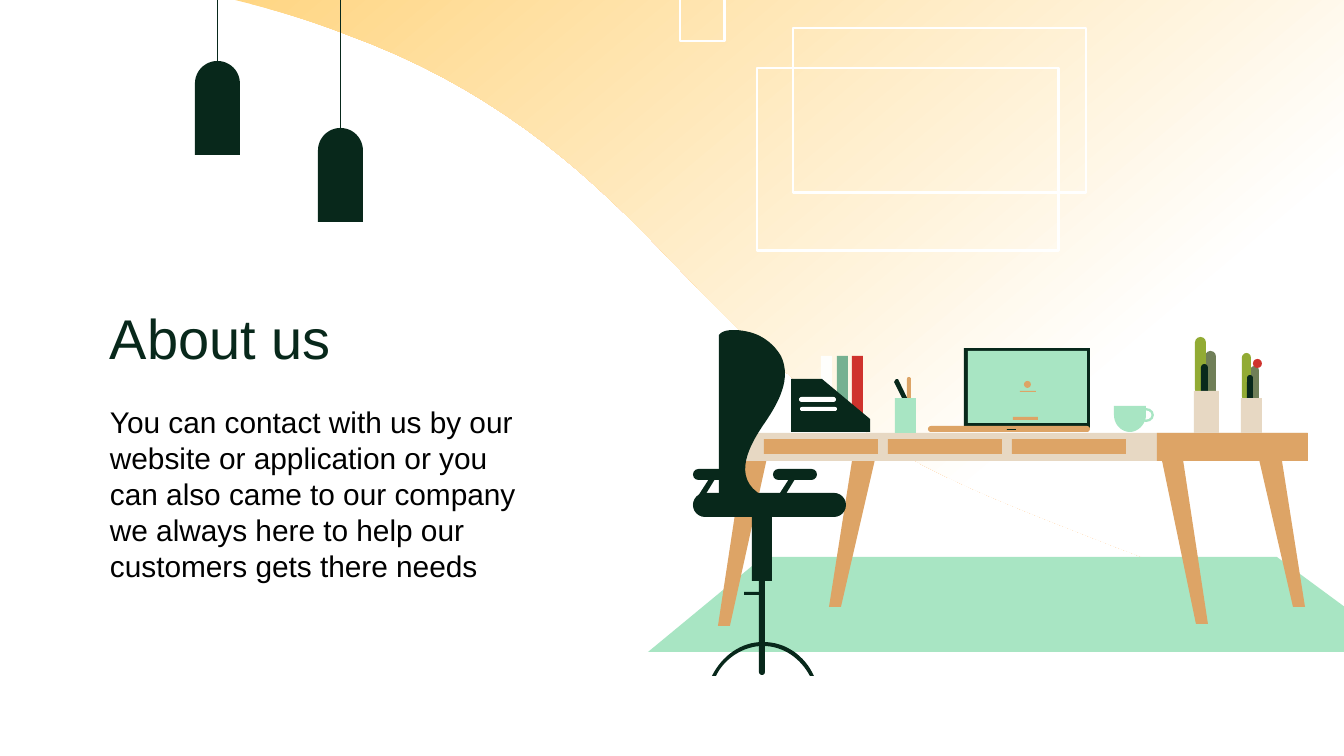
from pptx import Presentation
from pptx.dml.color import RGBColor
from pptx.enum.shapes import MSO_CONNECTOR, MSO_SHAPE as Kind
from pptx.enum.text import MSO_ANCHOR as Anchor
from pptx.util import Pt
from lxml import etree

PX = 914400 / 134.4
DARK, MINT, WOOD, SAND = "08281B", "A8E5C3", "DDA466", "E7D8C3"
OLIVE, LIME, RED, WHITE = "707F58", "92AB34", "CF332D", "FFFFFF"
RECT, OVAL, PILL = Kind.RECTANGLE, Kind.OVAL, Kind.ROUNDED_RECTANGLE


def paint(fill, colour):
    fill.solid()
    fill.fore_color.rgb = RGBColor.from_string(colour)


def write(text, left, top, width, height, size, colour, inset_top=13, after=0):
    box = page.shapes.add_textbox(*[round(v * PX) for v in (left, top, width, height)])
    frame = box.text_frame
    frame.word_wrap = True
    frame.vertical_anchor = Anchor.TOP
    frame.margin_left = frame.margin_right = frame.margin_bottom = round(13 * PX)
    frame.margin_top = round(inset_top * PX)
    para = frame.paragraphs[0]
    para.space_after = Pt(after)
    span = para.add_run()
    span.text = text
    span.font.name, span.font.size = "Arial", Pt(size)
    paint(span.font.fill, colour)


deck = Presentation()
deck.slide_width, deck.slide_height = round(1344 * PX), round(756 * PX)
page = deck.slides.add_slide(deck.slide_layouts[6])
paint(page.background.fill, WHITE)

# Scene, back to front: (preset, (left, top, width, height), colour).
# An outline has None as preset and lists points; six numbers make a curve.
scene = [(None, [(235, 0), (1344, 0), (1344, 615), (1331, 613),
                 (1249, 597, 1175, 570, 1103, 542), (1040, 517, 976, 493, 921, 464),
                 (798, 399, 728, 319, 653, 242), (578, 165, 489, 86, 345, 34),
                 (309, 20, 272, 9, 235, 0)], "glow")]

# Wall frames
scene += [(RECT, place, "frame") for place in
          ((793, 28, 293, 165), (757, 68, 302, 183), (680, -141, 45, 182))]

# Rug and desk legs
scene.append((None, [(763, 557), (648, 652), (1406, 652), (1277, 557)], MINT))
for top, foot, top_left, top_right, foot_left, foot_right in (
        (442, 607, 1255, 1279, 1293, 1305), (446, 624, 1159, 1181, 1196, 1208),
        (442, 607, 855, 879, 829, 841), (449, 626, 745, 769, 718, 730)):
    scene.append((None, [(top_left, top), (top_right, top),
                         (foot_right, foot), (foot_left, foot)], WOOD))

# Laptop
scene += [
    (RECT, (964, 348, 126, 81), DARK),
    (RECT, (968, 351, 119, 72), MINT),
    (PILL, (928, 426, 162, 6), WOOD),
    (RECT, (1007, 429, 9, 1), DARK),
    (RECT, (1013, 417, 25, 3), WOOD),
    (OVAL, (1024, 381, 7, 7), WOOD),
    (RECT, (1020, 391, 16, 1), WOOD),
]

# Desk top and drawers
scene += [(RECT, (734, 433, 573, 28), SAND), (RECT, (1157, 433, 151, 28), WOOD)]
scene += [(RECT, (764 + 124 * n, 439, 114, 15), WOOD) for n in range(3)]

# Cup
scene += [
    (None, [(1114, 406), (1146, 406), (1146, 415), (1146, 424, 1138, 432, 1130, 432),
            (1121, 432, 1114, 424, 1114, 415)], MINT),
    (Kind.DONUT, (1138, 408, 16, 14), MINT),
]

# Cacti
scene += [
    (PILL, (1250, 366, 9, 48), OLIVE),
    (PILL, (1242, 353, 9, 48), LIME),
    (PILL, (1247, 375, 6, 28), DARK),
    (RECT, (1241, 398, 21, 35), SAND),
    (PILL, (1205, 351, 11, 58), OLIVE),
    (PILL, (1195, 337, 11, 58), LIME),
    (PILL, (1201, 364, 7, 34), DARK),
    (RECT, (1194, 391, 25, 42), SAND),
    (OVAL, (1253, 359, 9, 9), RED),
]

# Binders, holder and pens
scene += [(RECT, (left, 356, 11, 74), colour)
          for left, colour in ((837, "76B191"), (821, "FEFEFC"), (852, RED))]
scene += [
    (None, [(822, 379), (870, 419), (870, 432), (791, 432), (791, 379)], DARK),
    (PILL, (799, 397, 37, 5), WHITE),
    (PILL, (800, 407, 37, 4), WHITE),
    (PILL, (907, 377, 4, 32), WOOD),
    (None, [(898, 379), (911, 406), (909, 409), (907, 408), (894, 382), (896, 379)], DARK),
    (RECT, (895, 398, 21, 35), MINT),
]

# Chair
scene += [
    (PILL, (693, 493, 153, 24), DARK),
    (None, [(734, 330), (739, 330, 745, 331, 749, 332), (762, 335, 774, 344, 781, 356),
            (792, 379, 778, 403, 766, 421), (750, 444, 730, 478, 763, 496),
            (719, 507), (719, 335), (722, 331, 728, 330, 734, 330)], DARK),
]
for shift in (80, 0):
    strut = [(714, 472), (718, 474), (717, 476), (698, 507), (696, 508), (693, 504), (713, 473)]
    scene += [(PILL, (693 + shift, 469, 44, 11), DARK),
              (None, [(x + shift, y) for x, y in strut], DARK)]
scene += [
    (PILL, (759, 507, 6, 168), DARK),
    (RECT, (752, 507, 20, 74), DARK),
    (RECT, (744, 592, 19, 3), DARK),
    (None, [(763, 642), (786, 642, 805, 656, 814, 676), (810, 676),
            (801, 659, 784, 646, 763, 646), (743, 646, 724, 659, 716, 676),
            (712, 676), (722, 656, 741, 642, 763, 642)], DARK),
]

# Lamp shades
lamps = ((195, 61), (318, 128))
scene += [(Kind.ROUND_2_SAME_RECTANGLE, (left, top, 45, 94), DARK) for left, top in lamps]

# Draw the scene
for preset, places, colour in scene:
    if preset is None:
        points = []
        for place in places:
            if len(place) == 2:
                points.append(place)
                continue
            start = points[-1]
            for step in range(1, 17):
                t = step / 16
                points.append(tuple(
                    (1 - t) ** 3 * start[a] + 3 * t * (1 - t) ** 2 * place[a]
                    + 3 * t * t * (1 - t) * place[2 + a] + t ** 3 * place[4 + a]
                    for a in (0, 1)))
        fine = [(x * 100, y * 100) for x, y in points]
        outline = page.shapes.build_freeform(*fine[0], scale=PX / 100)
        outline.add_line_segments(fine[1:], close=True)
        shape = outline.convert_to_shape()
    else:
        shape = page.shapes.add_shape(preset, *[round(v * PX) for v in places])
        if preset in (PILL, Kind.ROUND_2_SAME_RECTANGLE):
            shape.adjustments[0] = 0.5
        elif preset == Kind.DONUT:
            shape.adjustments[0] = 0.17
    shape.shadow.inherit = False
    shape.line.fill.background()
    if colour == "glow":
        shape.fill.gradient()
        shape.fill.gradient_angle = 310
        for stop, (position, shade) in zip(shape.fill.gradient_stops,
                                           ((0, "FFD684"), (0.72, WHITE))):
            stop.position = position
            stop.color.rgb = RGBColor.from_string(shade)
    elif colour == "frame":
        shape.fill.background()
        paint(shape.line.fill, WHITE)
        shape.line.width = Pt(1.5)
    else:
        paint(shape.fill, colour)

# Lamp cords
for left, top in lamps:
    ends = [round(v * PX) for v in (left + 23, top - 355, left + 23, top)]
    cord = page.shapes.add_connector(MSO_CONNECTOR.STRAIGHT, *ends)
    paint(cord.line.fill, DARK)
    cord.line.width = Pt(0.5)
    etree.SubElement(cord.element.spPr,
                     "{http://schemas.openxmlformats.org/drawingml/2006/main}effectLst")

# Text
write("You can contact with us by our website or application or you can also came to our "
      "company we always here to help our customers gets there needs",
      97, 391, 449, 304, size=16, colour="000000", after=16)
write("About us", 97, 290, 487, 85, size=30, colour=DARK, inset_top=14)

deck.save("out.pptx")
